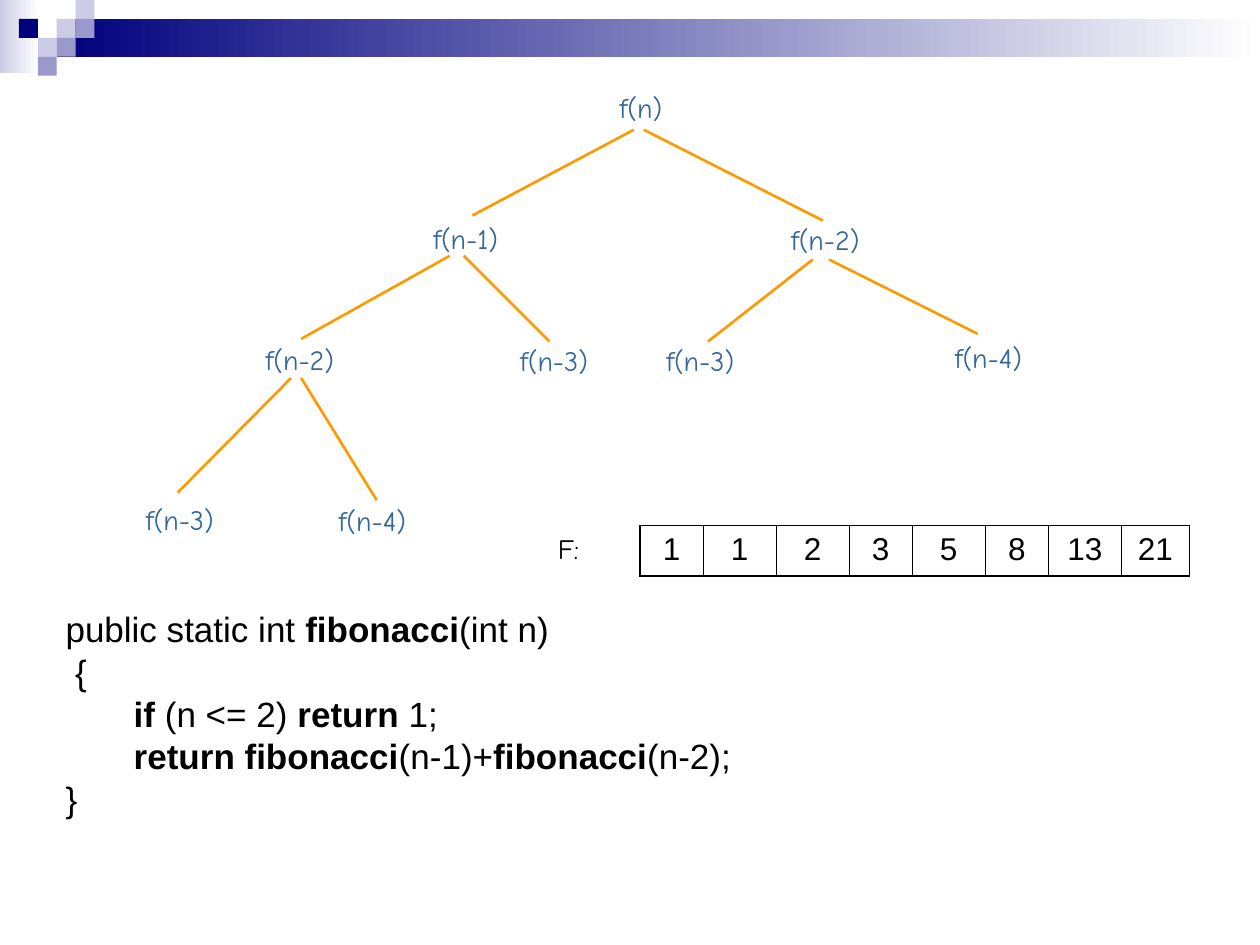
from dataclasses import dataclass

import pptx
import pptx.dml.color
import pptx.enum.shapes
import pptx.enum.text
import pptx.oxml
import pptx.oxml.ns
import pptx.util
from lxml import etree
from pptx.util import Inches, Pt


@dataclass(frozen=True)
class Theme:
    navy: str = "00007D"
    lilac: str = "CCCCE6"
    violet: str = "9999CC"
    white: str = "FFFFFF"
    black: str = "000000"
    node: str = "336699"
    edge: str = "FF9900"
    body_font: str = "Arial"
    tree_font: str = "Comic Neue"
    code_size: float = 20
    code_pitch: float = 24.2
    cell_size: float = 18
    node_size: float = 16
    edge_width: float = 1.5
    outer_border: float = 1.08
    inner_border: float = 0.45


THEME = Theme()

# Header tiles: column and row on a square grid, colour
TILE = 0.15
TILES = [
    (3, 1, THEME.lilac), (4, 0, THEME.lilac), (4, 1, THEME.violet),
    (2, 2, THEME.lilac), (1, 1, THEME.navy), (3, 2, THEME.violet),
    (2, 3, THEME.violet),
]

# Recursion tree: label, left, top, width
NODES = [
    ("f(n)", 4.82, 0.67, 0.54),
    ("f(n-1)", 3.34, 1.71, 0.72), ("f(n-2)", 6.18, 1.72, 0.75),
    ("f(n-2)", 2.01, 2.67, 0.75), ("f(n-3)", 4.03, 2.68, 0.74),
    ("f(n-3)", 5.19, 2.68, 0.74), ("f(n-4)", 7.48, 2.65, 0.74),
    ("f(n-3)", 1.06, 3.94, 0.74), ("f(n-4)", 2.59, 3.95, 0.74),
]
EDGES = [
    (5.03, 1.03, 3.75, 1.71), (5.11, 1.03, 6.53, 1.75),
    (3.57, 2.03, 2.39, 2.69), (3.68, 2.03, 4.36, 2.71),
    (6.45, 2.06, 5.62, 2.71), (6.58, 2.06, 7.76, 2.65),
    (2.31, 3.00, 1.41, 3.91), (2.39, 3.00, 2.99, 3.97),
]

# Code: text and whether it is bold; \v breaks the line
CODE = [
    ("public static int ", False), ("fibonacci", True),
    ("(int n)\v {\v       ", False), ("if", True), (" (n <= 2) ", False),
    ("return", True), (" 1;\v       ", False), ("return fibonacci", True),
    ("(n-1)+", False), ("fibonacci", True), ("(n-2);\v}\v", False),
]

SEQUENCE = [1, 1, 2, 3, 5, 8, 13, 21]
COLUMN_WIDTHS = [0.5, 0.58, 0.58, 0.5, 0.58, 0.5, 0.58, 0.54]


def rgb(color):
    return pptx.dml.color.RGBColor.from_string(color)


def style(font, name, size, color):
    font.name, font.size = name, Pt(size)
    font.color.rgb = rgb(color)


def add_rect(s, x, y, w, h, color, fade_to=None):
    sp = s.shapes.add_shape(pptx.enum.shapes.MSO_SHAPE.RECTANGLE,
                            Inches(x), Inches(y), Inches(w), Inches(h))
    sp.shadow.inherit = False
    sp.line.fill.background()
    if fade_to:
        sp.fill.gradient()
        sp.fill.gradient_angle = 0
        for stop, stop_color in zip(sp.fill.gradient_stops, (color, fade_to)):
            stop.color.rgb = rgb(stop_color)
    else:
        sp.fill.solid()
        sp.fill.fore_color.rgb = rgb(color)


def add_label(s, text, x, y, w, color, wrap=False):
    tf = s.shapes.add_textbox(Inches(x), Inches(y), Inches(w), Inches(0.37)).text_frame
    tf.word_wrap = wrap
    tf.auto_size = pptx.enum.text.MSO_AUTO_SIZE.SHAPE_TO_FIT_TEXT
    p = tf.paragraphs[0]
    p.text = text
    style(p.font, THEME.tree_font, THEME.node_size, color)


def add_edge(s, x1, y1, x2, y2):
    line = s.shapes.add_connector(pptx.enum.shapes.MSO_CONNECTOR.STRAIGHT,
                                  Inches(x1), Inches(y1), Inches(x2), Inches(y2))
    line.line.color.rgb = rgb(THEME.edge)
    line.line.width = Pt(THEME.edge_width)
    etree.SubElement(line._element.spPr, pptx.oxml.ns.qn("a:effectLst"))


def set_border(cell, side, width):
    cell._tc.get_or_add_tcPr().append(pptx.oxml.parse_xml(
        f'<a:ln{side} {pptx.oxml.ns.nsdecls("a")} w="{int(Pt(width))}">'
        f'<a:solidFill><a:srgbClr val="{THEME.black}"/></a:solidFill></a:ln{side}>'))


def add_sequence(s, x, y, h):
    frame = s.shapes.add_table(1, len(SEQUENCE), Inches(x), Inches(y),
                               Inches(sum(COLUMN_WIDTHS)), Inches(h))
    table = frame.table
    table.first_row = table.horz_banding = False
    table.rows[0].height = Inches(h)
    last = len(SEQUENCE) - 1
    for i, (value, width) in enumerate(zip(SEQUENCE, COLUMN_WIDTHS)):
        table.columns[i].width = Inches(width)
        cell = table.cell(0, i)
        p = cell.text_frame.paragraphs[0]
        p.text = str(value)
        p.alignment = pptx.enum.text.PP_ALIGN.CENTER
        style(p.font, THEME.body_font, THEME.cell_size, THEME.black)
        for side in "LRTB":
            inner = (side == "L" and i > 0) or (side == "R" and i < last)
            set_border(cell, side, THEME.inner_border if inner else THEME.outer_border)
        cell.fill.background()


def fill_title(s):
    sp = s.shapes.title
    sp.left, sp.top, sp.width, sp.height = Inches(0.42), Inches(5.08), Inches(9), Inches(1.5)
    tf = sp.text_frame
    tf.word_wrap = True
    tf.auto_size = pptx.enum.text.MSO_AUTO_SIZE.NONE
    tf.vertical_anchor = pptx.enum.text.MSO_ANCHOR.MIDDLE
    p = tf.paragraphs[0]
    p.alignment = pptx.enum.text.PP_ALIGN.LEFT
    p.line_spacing = Pt(THEME.code_pitch)
    style(p.font, THEME.body_font, THEME.code_size, THEME.black)
    for text, bold in CODE:
        for i, part in enumerate(text.split("\v")):
            if i:
                p.add_line_break()
            if part:
                r = p.add_run()
                r.text = part
                r.font.bold = bold


def main():
    prs = pptx.Presentation()
    prs.slide_width, prs.slide_height = Inches(10), Inches(7.5)
    s = prs.slides.add_slide(prs.slide_layouts[5])

    # Header band
    add_rect(s, 0, 0, 0.31, 0.58, THEME.lilac, THEME.white)
    add_rect(s, 0.45, 0.15, 9.55, 0.3, THEME.navy, THEME.white)
    for col, row, color in TILES:
        add_rect(s, col * TILE, row * TILE, TILE, TILE, color)

    # Code
    fill_title(s)

    # Recursion tree
    for node in NODES:
        add_label(s, *node, THEME.node)
    for edge in EDGES:
        add_edge(s, *edge)

    # Stored values
    add_sequence(s, 5.08, 4.17, 0.4)
    add_label(s, "F:", 4.33, 4.17, 0.63, THEME.black, wrap=True)

    prs.save("out.pptx")


if __name__ == "__main__":
    main()
